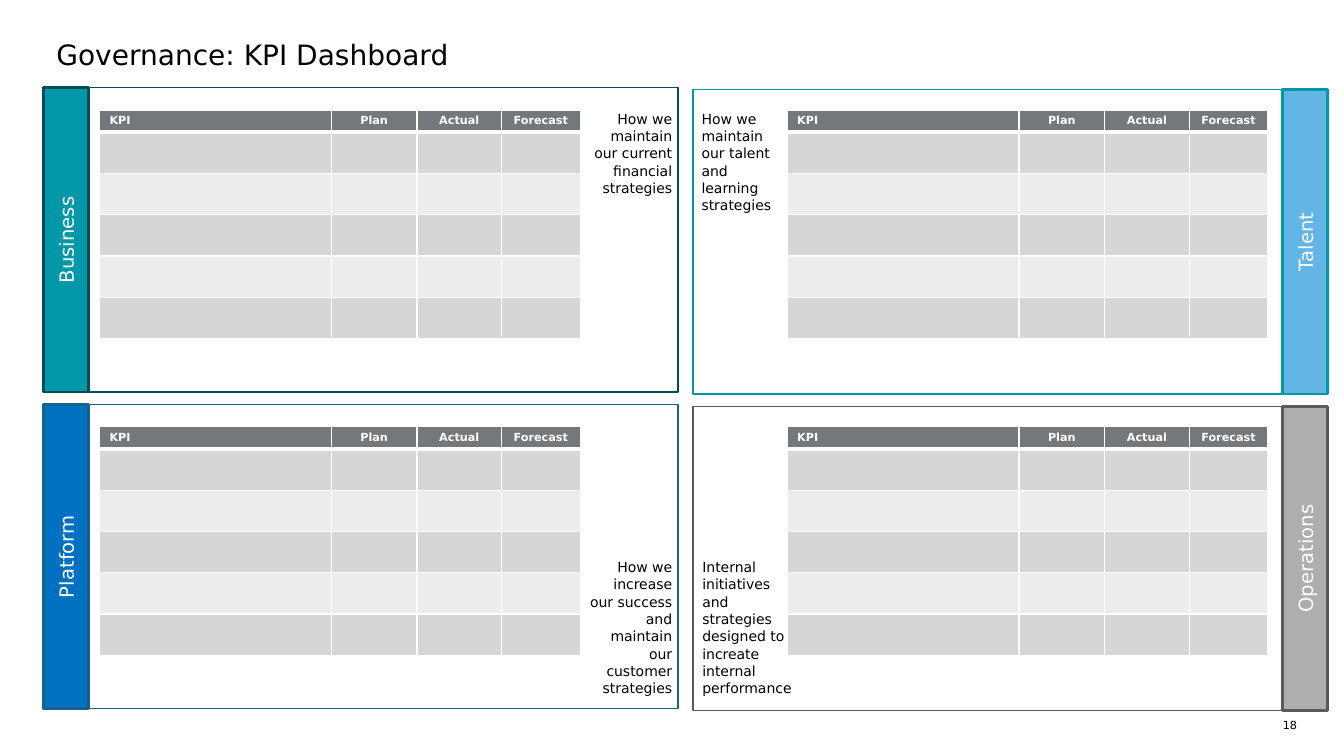
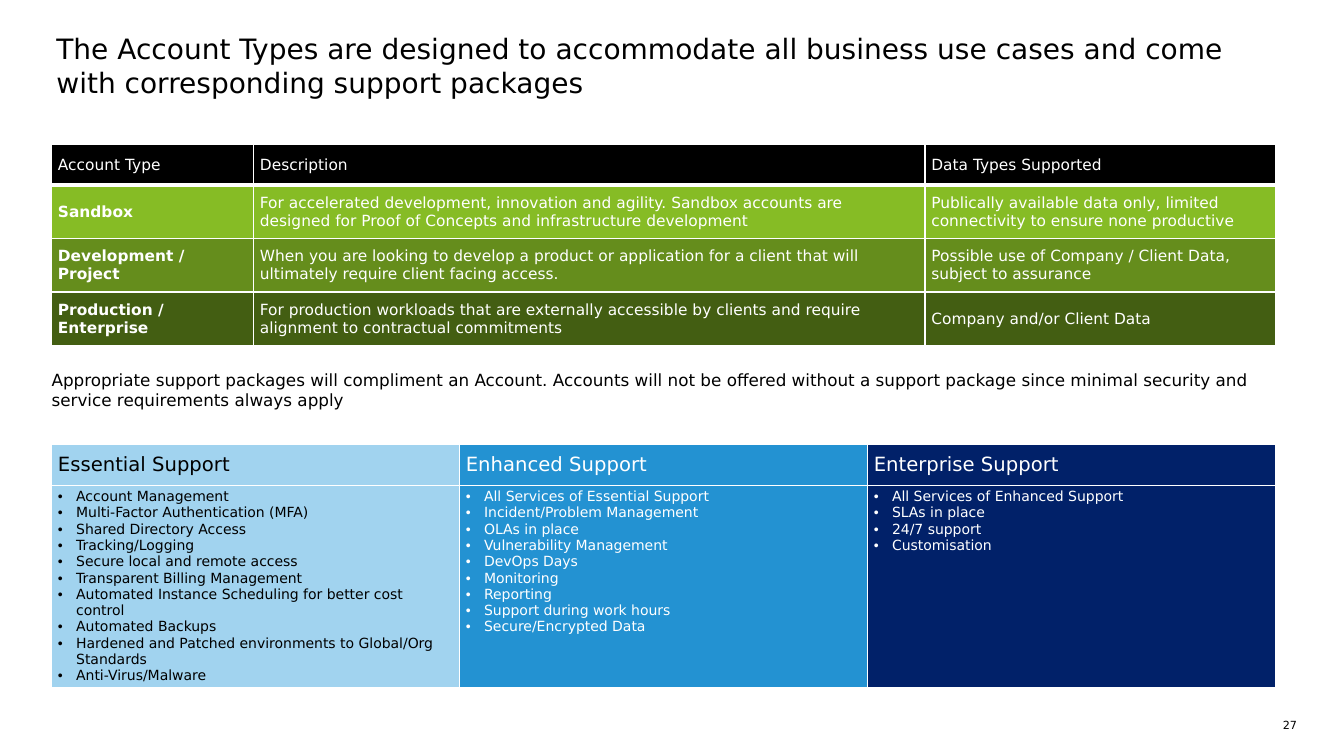
from dataclasses import dataclass
from typing import Optional, Sequence

from lxml import etree
from pptx import Presentation
from pptx import util as u
from pptx.dml import color
from pptx.enum import shapes, text
from pptx.oxml import ns

# Shared style
FONT = "DejaVu Sans"
BLACK, WHITE = "000000", "FFFFFF"
HEADER_GREY, BAND_DARK, BAND_LIGHT = "75787B", "D6D6D7", "ECECEC"
LEFT, CENTER, RIGHT = text.PP_ALIGN.LEFT, text.PP_ALIGN.CENTER, text.PP_ALIGN.RIGHT
TOP, MIDDLE, BOTTOM = text.MSO_ANCHOR.TOP, text.MSO_ANCHOR.MIDDLE, text.MSO_ANCHOR.BOTTOM


@dataclass(frozen=True)
class Box:
    left: float
    top: float
    width: float
    height: float

    def lengths(self) -> list:
        return [u.Cm(v) for v in (self.left, self.top, self.width, self.height)]


@dataclass(frozen=True)
class Quadrant:
    name: str
    purpose: str
    fill: str
    line: str
    column: int
    row: int
    purpose_left: float
    purpose_width: float = 2.16


@dataclass(frozen=True)
class AccountType:
    name: str
    description: str
    data_types: str
    fill: str


@dataclass(frozen=True)
class SupportPackage:
    name: str
    services: Sequence[str]
    fill: str
    ink: str


QUADRANTS = [
    Quadrant("Business", "How we maintain our current financial strategies",
             "0097A9", "004B54", 0, 0, 14.78),
    Quadrant("Platform", "How we increase our success and maintain our customer strategies",
             "0070C0", "17618C", 0, 1, 14.78),
    Quadrant("Talent", "How we maintain our talent and learning strategies",
             "62B5E5", "0097A9", 1, 0, 17.68),
    Quadrant("Operations",
             "Internal initiatives and strategies designed to increate internal performance",
             "ACAEB0", "585A5C", 1, 1, 17.7, 2.34),
]
KPI_HEADINGS = ["KPI", "Plan", "Actual", "Forecast"]
KPI_WIDTHS = [5.84, 2.16, 2.13, 1.98]
KPI_HEIGHTS = [0.56] + [1.04] * 5

ACCOUNT_HEADINGS = ["Account Type", "Description", "Data Types Supported"]
ACCOUNT_TYPES = [
    AccountType("Sandbox",
                "For accelerated development, innovation and agility. Sandbox accounts are "
                "designed for Proof of Concepts and infrastructure development",
                "Publically available data only, limited connectivity to ensure none productive",
                "86BC25"),
    AccountType("Development / Project",
                "When you are looking to develop a product or application for a client that will "
                "ultimately require client facing access.",
                "Possible use of Company / Client Data, subject to assurance", "658D1C"),
    AccountType("Production / Enterprise",
                "For production workloads that are externally accessible by clients and require "
                "alignment to contractual commitments",
                "Company and/or Client Data", "435E12"),
]
SUPPORT_PACKAGES = [
    SupportPackage("Essential Support", [
        "Account Management", "Multi-Factor Authentication (MFA)", "Shared Directory Access",
        "Tracking/Logging", "Secure local and remote access", "Transparent Billing Management",
        "Automated Instance Scheduling for better cost control", "Automated Backups",
        "Hardened and Patched environments to Global/Org Standards", "Anti-Virus/Malware",
    ], "A1D3EF", BLACK),
    SupportPackage("Enhanced Support", [
        "All Services of Essential Support", "Incident/Problem Management", "OLAs in place",
        "Vulnerability Management", "DevOps Days", "Monitoring", "Reporting",
        "Support during work hours", "Secure/Encrypted Data",
    ], "2392D2", WHITE),
    SupportPackage("Enterprise Support", [
        "All Services of Enhanced Support", "SLAs in place", "24/7 support", "Customisation",
    ], "012169", WHITE),
]


def rgb(value: str) -> color.RGBColor:
    return color.RGBColor.from_string(value)


def format_text(frame, size: float, ink: str = BLACK, align=LEFT, bold: bool = False) -> None:
    for paragraph in frame.paragraphs:
        paragraph.alignment = align
        for run in paragraph.runs:
            run.font.name = FONT
            run.font.size = u.Pt(size)
            run.font.bold = bold
            run.font.color.rgb = rgb(ink)


def set_margins(holder, horizontal: float, vertical: float) -> None:
    holder.margin_left = holder.margin_right = u.Cm(horizontal)
    holder.margin_top = holder.margin_bottom = u.Cm(vertical)


def fill_frame(frame, wording: str, size: float, align=LEFT, anchor=TOP) -> None:
    """Write black text into a wrapped frame without insets."""
    frame.text = wording
    frame.word_wrap = True
    frame.auto_size = text.MSO_AUTO_SIZE.NONE
    frame.vertical_anchor = anchor
    set_margins(frame, 0, 0)
    format_text(frame, size, align=align)


def add_text(slide, box: Box, wording: str, size: float, align=LEFT, anchor=TOP):
    frame = slide.shapes.add_textbox(*box.lengths()).text_frame
    fill_frame(frame, wording, size, align, anchor)
    return frame.paragraphs[0]


def add_page(deck, heading: str, heading_box: Box, number: str):
    """Start a slide with the shared title and page number."""
    slide = deck.slides.add_slide(deck.slide_layouts[5])
    title = slide.shapes.title
    title.left, title.top, title.width, title.height = heading_box.lengths()
    fill_frame(title.text_frame, heading, 20, anchor=MIDDLE)
    add_text(slide, Box(31.85, 18.11, 0.84, 0.33), number, 8, RIGHT, MIDDLE)
    return slide


def add_rectangle(slide, box: Box, line: str, weight: float, fill: Optional[str] = None):
    rectangle = slide.shapes.add_shape(shapes.MSO_SHAPE.RECTANGLE, *box.lengths())
    rectangle.shadow.inherit = False
    rectangle.line.color.rgb = rgb(line)
    rectangle.line.width = u.Pt(weight)
    if fill:
        rectangle.fill.solid()
        rectangle.fill.fore_color.rgb = rgb(fill)
    else:
        rectangle.fill.background()
    return rectangle


# Tables
def add_grid(slide, left: float, top: float, widths: Sequence[float], heights: Sequence[float]):
    box = Box(left, top, sum(widths), sum(heights))
    grid = slide.shapes.add_table(len(heights), len(widths), *box.lengths()).table
    grid.horz_banding = False
    for column, width in zip(grid.columns, widths):
        column.width = u.Cm(width)
    for row, height in zip(grid.rows, heights):
        row.height = u.Cm(height)
    return grid


def style_cell(cell, fill: str, anchor=MIDDLE, top_line: float = 1, bottom_line: float = 1,
               side_margin: float = 0.16, edge_margin: float = 0.08) -> None:
    cell.fill.solid()
    cell.fill.fore_color.rgb = rgb(fill)
    cell.vertical_anchor = anchor
    set_margins(cell, side_margin, edge_margin)
    properties = cell._tc.get_or_add_tcPr()
    weights = {"a:lnL": 1, "a:lnR": 1, "a:lnT": top_line, "a:lnB": bottom_line}
    for index, (tag, weight) in enumerate(weights.items()):
        border = etree.Element(ns.qn(tag), w=str(u.Pt(weight)))
        solid = etree.SubElement(border, ns.qn("a:solidFill"))
        etree.SubElement(solid, ns.qn("a:srgbClr"), val=WHITE)
        properties.insert(index, border)


def add_bullets(frame) -> None:
    indent = u.Cm(0.46)
    for paragraph in frame.paragraphs:
        properties = paragraph._p.get_or_add_pPr()
        properties.set("marL", str(indent))
        properties.set("indent", str(-indent))
        etree.SubElement(properties, ns.qn("a:buFont"), typeface="Arial")
        etree.SubElement(properties, ns.qn("a:buChar"), char="•")


def add_kpi_table(slide, left: float, top: float) -> None:
    grid = add_grid(slide, left, top, KPI_WIDTHS, KPI_HEIGHTS)
    for column, heading in enumerate(KPI_HEADINGS):
        head = grid.cell(0, column)
        head.text = heading
        format_text(head.text_frame, 8, WHITE, CENTER if column else LEFT, bold=True)
        style_cell(head, HEADER_GREY, bottom_line=3, side_margin=0.25, edge_margin=0.05)
        for row in range(1, len(KPI_HEIGHTS)):
            style_cell(grid.cell(row, column), BAND_DARK if row % 2 else BAND_LIGHT,
                       top_line=3 if row == 1 else 1)


def add_quadrant(slide, quadrant: Quadrant) -> None:
    on_right = quadrant.column == 1
    row_shift = quadrant.row * 7.98
    top = (2.26 if on_right else 2.21) + row_shift

    # Name bar and frame
    bar = add_rectangle(slide, Box(32.33 if on_right else 1.1, top, 1.13, 7.67),
                        quadrant.line, 2, quadrant.fill)
    label = bar.text_frame
    label.text = quadrant.name
    label.vertical_anchor = MIDDLE
    bar.element.txBody.bodyPr.set("vert", "vert270")
    format_text(label, 14, WHITE, CENTER)
    label.paragraphs[0].space_before = u.Pt(6)
    add_rectangle(slide, Box(17.47 if on_right else 2.23, top, 14.86, 7.67), quadrant.line, 1)

    # Purpose and figures
    purpose = add_text(
        slide, Box(quadrant.purpose_left, 2.77 + row_shift, quadrant.purpose_width, 6.8),
        quadrant.purpose, 10, LEFT if on_right else RIGHT, BOTTOM if quadrant.row else TOP)
    purpose.space_before = u.Pt(6)
    purpose.line_spacing = 1.03
    add_kpi_table(slide, 19.84 if on_right else 2.51, 2.77 + row_shift)


def add_account_table(slide) -> None:
    grid = add_grid(slide, 1.3, 3.64, [5.09, 16.92, 8.83], [1.02] + [1.35] * 3)
    lines = [(ACCOUNT_HEADINGS, BLACK)]
    lines += [((a.name, a.description, a.data_types), a.fill) for a in ACCOUNT_TYPES]
    for row, (wordings, fill) in enumerate(lines):
        for column, wording in enumerate(wordings):
            cell = grid.cell(row, column)
            cell.text = wording
            format_text(cell.text_frame, 11, WHITE, bold=row > 0 and column == 0)
            style_cell(cell, fill, top_line=3 if row == 1 else 1,
                       bottom_line=3 if row == 0 else 1)


def add_support_table(slide) -> None:
    grid = add_grid(slide, 1.3, 11.2, [10.28] * 3, [1.03, 5.09])
    for column, package in enumerate(SUPPORT_PACKAGES):
        head, services = grid.cell(0, column), grid.cell(1, column)
        head.text = package.name
        format_text(head.text_frame, 14, package.ink)
        style_cell(head, package.fill)
        services.text = "\n".join(package.services)
        format_text(services.text_frame, 10, package.ink)
        add_bullets(services.text_frame)
        style_cell(services, package.fill, TOP)


def main() -> None:
    deck = Presentation()
    deck.slide_width, deck.slide_height = u.Cm(33.87), u.Cm(19.05)

    # KPI dashboard
    dashboard = add_page(deck, "Governance: KPI Dashboard", Box(1.42, 0.94, 31.04, 0.86), "18")
    for quadrant in QUADRANTS:
        add_quadrant(dashboard, quadrant)

    # Account types and support packages
    accounts = add_page(
        deck, "The Account Types are designed to accommodate all business use cases and come "
        "with corresponding support packages", Box(1.42, 0.79, 31.04, 1.7), "27")
    add_account_table(accounts)
    introduction = add_text(
        accounts, Box(1.3, 9.32, 31.27, 1.78),
        "Appropriate support packages will compliment an Account. Accounts will not be offered "
        "without a support package since minimal security and service requirements always apply",
        12)
    introduction.space_after = u.Pt(13.3)
    add_support_table(accounts)

    deck.save("out.pptx")


if __name__ == "__main__":
    main()
